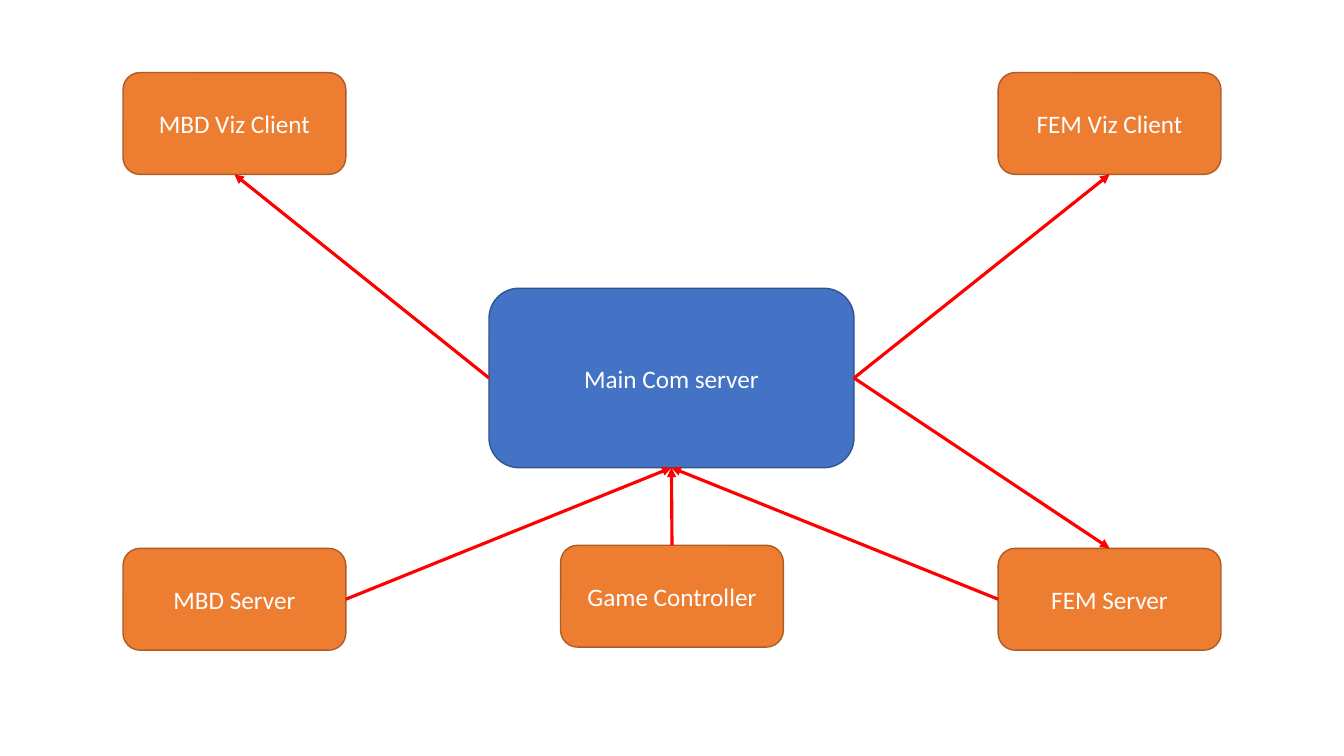
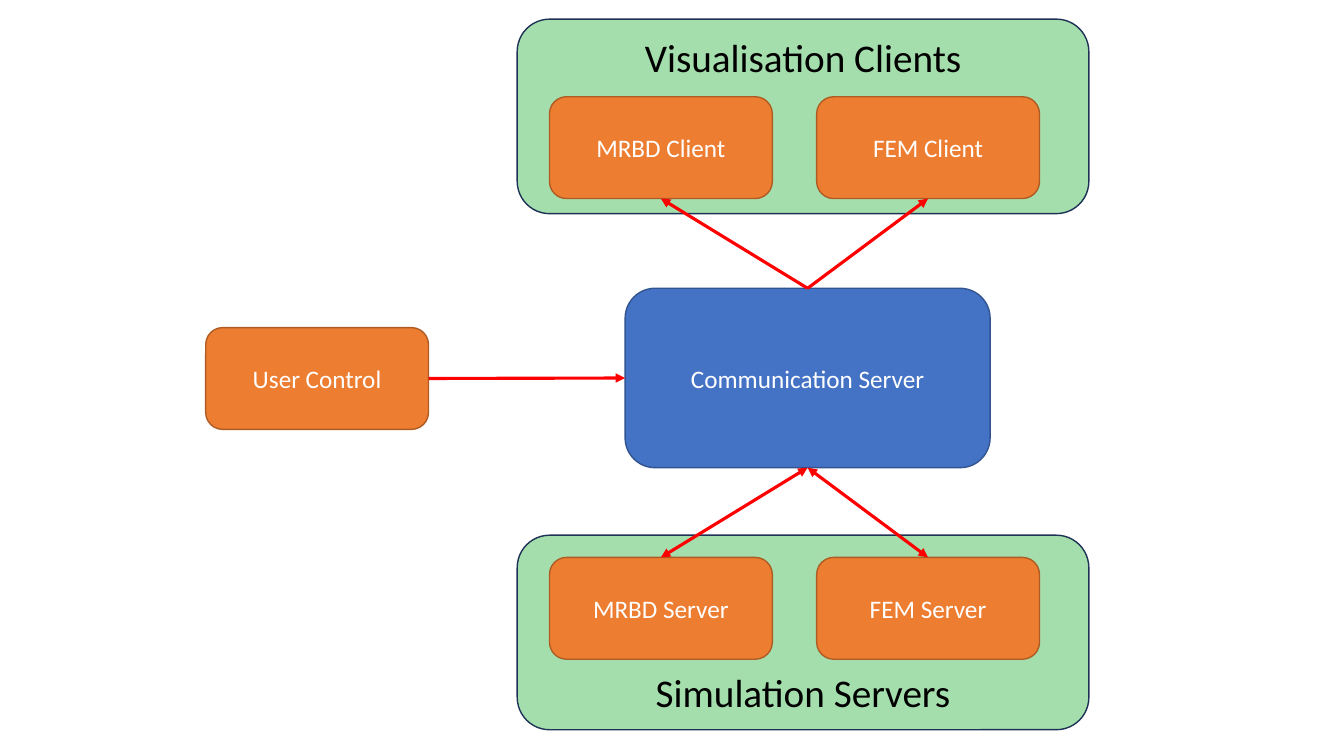
from pptx import Presentation
from pptx.dml.color import RGBColor
from pptx.enum.shapes import MSO_CONNECTOR, MSO_SHAPE
from pptx.enum.text import MSO_ANCHOR, PP_ALIGN
from pptx.oxml.ns import qn
from pptx.util import Pt
from lxml import etree

PX = 9144
FONT = "Calibri"
WHITE = RGBColor(0xFF, 0xFF, 0xFF)
BLACK = RGBColor(0x00, 0x00, 0x00)
BLUE = RGBColor(0x44, 0x72, 0xC4)
DARK_BLUE = RGBColor(0x32, 0x54, 0x91)
ORANGE = RGBColor(0xED, 0x7D, 0x31)
DARK_ORANGE = RGBColor(0xAF, 0x5C, 0x24)
GREEN = RGBColor(0x4A, 0xBE, 0x5B)
NAVY = RGBColor(0x1E, 0x32, 0x56)
RED = RGBColor(0xFF, 0x00, 0x00)

ROUNDED = MSO_SHAPE.ROUNDED_RECTANGLE
STRAIGHT = MSO_CONNECTOR.STRAIGHT
CENTER = PP_ALIGN.CENTER
ANCHOR_TOP = MSO_ANCHOR.TOP
ANCHOR_MIDDLE = MSO_ANCHOR.MIDDLE
ANCHOR_BOTTOM = MSO_ANCHOR.BOTTOM
TOP, LEFT, BOTTOM, RIGHT = range(4)

HUB = (362, 178, BLUE, DARK_BLUE, WHITE, 18)
NODE = (221, 101, ORANGE, DARK_ORANGE, WHITE, 18)
GROUP = (567, 193, GREEN, NAVY, BLACK, 28)


def add_box(slide, style, label, left, top, anchor=ANCHOR_MIDDLE):
    width, height, fill, outline, text_color, size = style
    box = slide.shapes.add_shape(ROUNDED, left * PX, top * PX, width * PX, height * PX)
    box.shadow.inherit = False
    box.fill.solid()
    box.fill.fore_color.rgb = fill
    box.line.color.rgb = outline
    box.line.width = Pt(1)
    frame = box.text_frame
    frame.word_wrap = True
    frame.vertical_anchor = anchor
    para = frame.paragraphs[0]
    para.alignment = CENTER
    span = para.add_run()
    span.text = label
    span.font.name = FONT
    span.font.size = Pt(size)
    span.font.color.rgb = text_color
    return box


def add_arrow(slide, start, start_side, end, end_side, ends=("tailEnd",)):
    arrow = slide.shapes.add_connector(STRAIGHT, 0, 0, 0, 0)
    arrow.begin_connect(start, start_side)
    arrow.end_connect(end, end_side)
    arrow.line.color.rgb = RED
    arrow.line.width = Pt(2.25)
    properties = arrow._element.spPr
    for end_name in ends:
        etree.SubElement(properties.find(qn("a:ln")), qn(f"a:{end_name}"), type="triangle")
    etree.SubElement(properties, qn("a:effectLst"))


deck = Presentation()
deck.slide_width = 1333 * PX
deck.slide_height = 750 * PX
blank_layout = deck.slide_layouts[6]

page = deck.slides.add_slide(blank_layout)
hub = add_box(page, HUB, "Main Com server", 485, 286)
mbd_server = add_box(page, NODE, "MBD Server", 122, 544)
fem_server = add_box(page, NODE, "FEM Server", 990, 544)
mbd_client = add_box(page, NODE, "MBD Viz Client", 122, 72)
fem_client = add_box(page, NODE, "FEM Viz Client", 990, 72)
controller = add_box(page, NODE, "Game Controller", 556, 541)
for start, start_side, end, end_side in (
    (mbd_server, RIGHT, hub, BOTTOM),
    (fem_server, LEFT, hub, BOTTOM),
    (hub, LEFT, mbd_client, BOTTOM),
    (hub, RIGHT, fem_client, BOTTOM),
    (hub, RIGHT, fem_server, TOP),
    (controller, TOP, hub, BOTTOM),
):
    add_arrow(page, start, start_side, end, end_side)

page = deck.slides.add_slide(blank_layout)
for label, top, anchor in (
    ("Simulation Servers", 531, ANCHOR_BOTTOM),
    ("Visualisation Clients", 19, ANCHOR_TOP),
):
    group = add_box(page, GROUP, label, 513, top, anchor)
    color = group._element.spPr.find(qn("a:solidFill"))[0]
    etree.SubElement(color, qn("a:alpha"), val="50000")

hub = add_box(page, HUB, "Communication Server", 620, 286)
for model, left in (("MRBD", 545), ("FEM", 810)):
    server = add_box(page, NODE, f"{model} Server", left, 553)
    client = add_box(page, NODE, f"{model} Client", left, 96)
    add_arrow(page, hub, TOP, client, BOTTOM)
    add_arrow(page, server, TOP, hub, BOTTOM, ("headEnd", "tailEnd"))
user_control = add_box(page, NODE, "User Control", 204, 325)
add_arrow(page, user_control, RIGHT, hub, LEFT)

deck.save("out.pptx")
